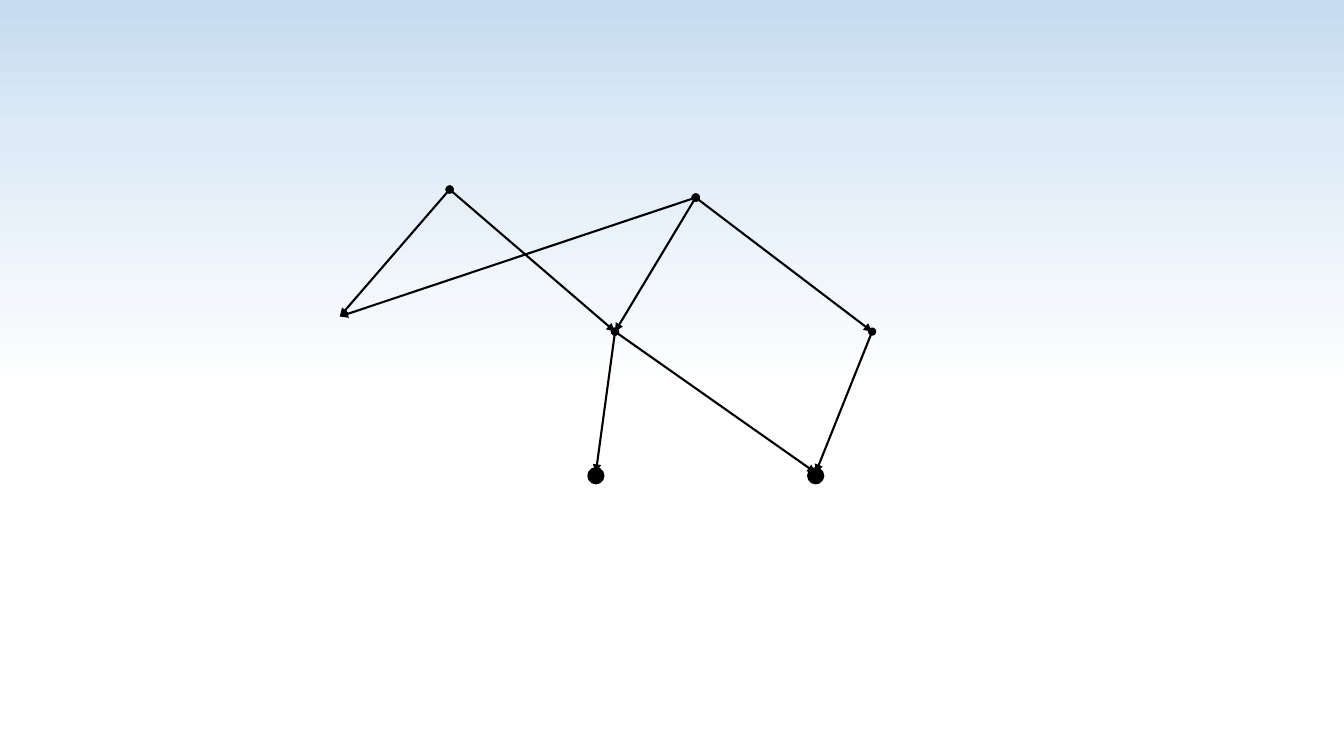
from pptx import Presentation
from pptx.dml.color import RGBColor
from pptx.enum.shapes import MSO_CONNECTOR, MSO_SHAPE
from pptx.oxml.ns import qn
from pptx.util import Inches, Pt
from lxml.etree import SubElement

COLORS = {"ink": "000000", "sky": "C4DBF0", "haze": "DEEBF7", "white": "FFFFFF"}

# Graph nodes: centre of each, in inches
NODES = {
    "top left": (4.46, 1.88),
    "top right": (6.9, 1.96),
    "middle left": (3.37, 3.14),
    "middle": (6.1, 3.29),
    "middle right": (8.65, 3.29),
    "bottom left": (5.91, 4.72),
    "bottom right": (8.09, 4.72),
}

# Directed edges, from parent to child
EDGES = [
    ("top left", "middle left"),
    ("top right", "middle"),
    ("top left", "middle"),
    ("top right", "middle left"),
    ("top right", "middle right"),
    ("middle right", "bottom right"),
    ("middle", "bottom right"),
    ("middle", "bottom left"),
]
LEAVES = ["bottom left", "bottom right"]


class GraphSlide:
    line_width = Pt(1.5)
    dot_size = 0.15
    arrow_gap = 0.03  # arrows stop just above the centre of a leaf

    def __init__(self, deck):
        self.page = deck.slides.add_slide(deck.slide_layouts[6])

    def color(self, name):
        return RGBColor.from_string(COLORS[name])

    def background(self, stops):
        fill = self.page.background.fill
        fill.gradient()
        fill.gradient_angle = 270
        stop_list = next(self.page.element.iter(qn("a:gsLst")))
        for stop in list(stop_list):
            stop_list.remove(stop)
        for percent, name in stops:
            stop = SubElement(stop_list, qn("a:gs"), pos=str(percent * 1000))
            SubElement(stop, qn("a:srgbClr"), val=COLORS[name])

    def outline(self, shape):
        shape.line.color.rgb = self.color("ink")
        shape.line.width = self.line_width

    def arrow(self, parent, child):
        x1, y1 = NODES[parent]
        x2, y2 = NODES[child]
        if child in LEAVES:
            y2 -= self.arrow_gap
        arrow = self.page.shapes.add_connector(
            MSO_CONNECTOR.STRAIGHT, Inches(x1), Inches(y1), Inches(x2), Inches(y2))
        self.outline(arrow)
        properties = arrow.element.spPr
        line = properties.find(qn("a:ln"))
        SubElement(line, qn("a:headEnd"), type="oval")
        SubElement(line, qn("a:tailEnd"), type="triangle")
        SubElement(properties, qn("a:effectLst"))

    def dot(self, node):
        x, y = NODES[node]
        size = self.dot_size
        dot = self.page.shapes.add_shape(
            MSO_SHAPE.OVAL, Inches(x - size / 2), Inches(y - size / 2),
            Inches(size), Inches(size))
        dot.shadow.inherit = False
        dot.fill.solid()
        dot.fill.fore_color.rgb = self.color("ink")
        self.outline(dot)


def main():
    deck = Presentation()
    deck.slide_width, deck.slide_height = Inches(13.33), Inches(7.5)
    graph = GraphSlide(deck)

    # Sky fading to white
    graph.background([(0, "sky"), (18, "haze"), (52, "white"), (100, "white")])

    # Arrows, then the leaf dots over their tips
    for parent, child in EDGES:
        graph.arrow(parent, child)
    for leaf in LEAVES:
        graph.dot(leaf)

    deck.save("out.pptx")


if __name__ == "__main__":
    main()
